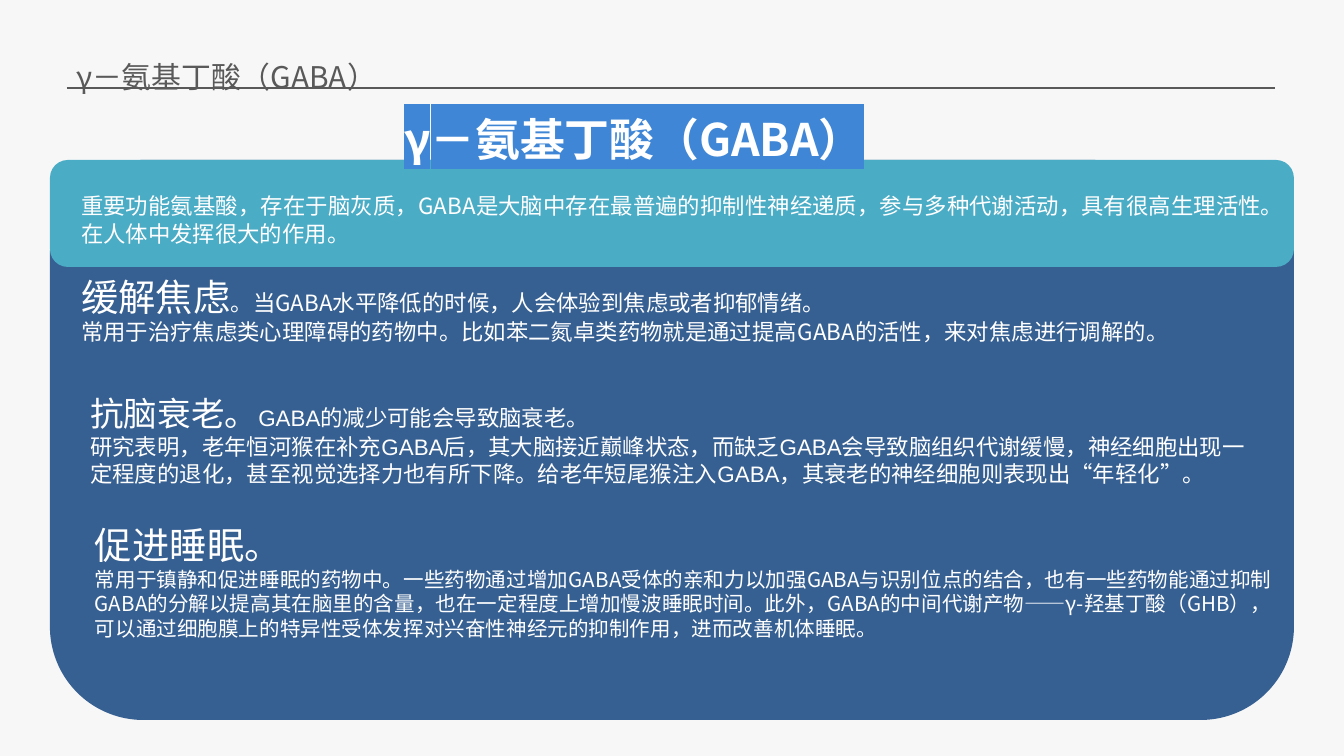
from lxml.etree import SubElement
from pptx import Presentation
from pptx.dml.color import RGBColor
from pptx.enum.shapes import MSO_CONNECTOR as Connector, MSO_SHAPE as Shape
from pptx.enum.text import MSO_ANCHOR as Anchor, MSO_AUTO_SIZE as AutoSize, PP_ALIGN as Align
from pptx.oxml.ns import qn
from pptx.util import Emu, Pt

SCALE = 914400 / 134.4
PAGE = RGBColor(0xF7, 0xF7, 0xF7)
GREY = RGBColor(0x59, 0x59, 0x59)
WHITE = RGBColor(0xFF, 0xFF, 0xFF)
NAVY = RGBColor(0x37, 0x60, 0x92)
TEAL = RGBColor(0x4B, 0xAC, 0xC6)
MARKER = RGBColor(0x3F, 0x87, 0xD6)
NOTO = "Noto Sans CJK SC"
HEADING = "γ－氨基丁酸（GABA）"


def px(length):
    return Emu(round(length * SCALE))


def apply(target, values):
    for name, value in values.items():
        setattr(target, name, value)


def place(item, box):
    apply(item, dict(zip(("left", "top", "width", "height"), map(px, box))))


def highlight(span, color):
    fill = span.font._element.find(qn("a:solidFill"))
    mark = SubElement(span.font._element, qn("a:highlight"))
    SubElement(mark, qn("a:srgbClr"), val=str(color))
    fill.addnext(mark)


def add_span(para, text, size, font=NOTO, color=WHITE, bold=False, marker=None):
    span = para.add_run()
    span.text = text
    apply(span.font, {"size": Pt(size), "name": font, "bold": bold})
    span.font.color.rgb = color
    latin = span.font._element.find(qn("a:latin"))
    east_asian = SubElement(span.font._element, qn("a:ea"), typeface=NOTO)
    latin.addnext(east_asian)
    if marker is not None:
        highlight(span, marker)


def write(frame, paras, inset=0, anchor=Anchor.TOP, **span_format):
    apply(frame, {"word_wrap": True, "auto_size": AutoSize.NONE, "vertical_anchor": anchor})
    sides = ("left", "top", "right", "bottom")
    apply(frame, {f"margin_{side}": px(inset) for side in sides})
    for index, (para_format, spans) in enumerate(paras):
        para = frame.add_paragraph() if index else frame.paragraphs[0]
        apply(para, {"space_before": Pt(0), **para_format})
        for text, size in spans:
            add_span(para, text, size, **span_format)


def lines(height, align=Align.LEFT, before=0):
    return {"line_spacing": px(height), "alignment": align, "space_before": px(before)}


def add_panel(page, box, color):
    left, top, width, height = map(px, box)
    panel = page.shapes.add_shape(Shape.ROUNDED_RECTANGLE, left, top, width, height)
    panel.shadow.inherit = False
    panel.fill.solid()
    panel.fill.fore_color.rgb = color
    panel.line.fill.background()
    return panel


def add_text(page, box, paras, **text_format):
    text_box = page.shapes.add_textbox(*map(px, box))
    write(text_box.text_frame, paras, **text_format)


def add_header(page, box):
    left, top, width, height = box
    title = page.shapes.title
    place(title, (left - 4, top, 505, height))
    write(title.text_frame, [(lines(38), [(HEADING, 16)])], inset=13, color=GREY)
    bottom = top + height - 5
    rule = page.shapes.add_connector(
        Connector.STRAIGHT, px(left), px(bottom), px(left + width), px(bottom))
    rule.line.color.rgb = GREY
    rule.line.width = Pt(0.75)
    SubElement(rule._element.spPr, qn("a:effectLst"))


def add_content(page, box):
    left, top, width, height = box
    aging = [
        (lines(40), [("抗脑衰老。", 18), ("GABA的减少可能会导致脑衰老。", 12)]),
        (lines(27), [("研究表明，老年恒河猴在补充GABA后，其大脑接近巅峰状态，而缺乏GABA会导致脑组织代谢缓慢，神经细胞出现一定程度的退化，甚至视觉选择力也有所下降。给老年短尾猴注入GABA，其衰老的神经细胞则表现出“年轻化”。", 12)]),
    ]
    anxiety = [
        (lines(28, Align.JUSTIFY), [("重要功能氨基酸，存在于脑灰质，GABA是大脑中存在最普遍的抑制性神经递质，参与多种代谢活动，具有很高生理活性。在人体中发挥很大的作用。", 12)]),
        (lines(42, Align.JUSTIFY, before=30), [("缓解焦虑", 20), ("。当GABA水平降低的时候，人会体验到焦虑或者抑郁情绪。", 12)]),
        (lines(26, Align.JUSTIFY), [("常用于治疗焦虑类心理障碍的药物中。比如苯二氮卓类药物就是通过提高GABA的活性，来对焦虑进行调解的。", 12)]),
    ]
    sleep = [
        (lines(47, Align.JUSTIFY), [("促进睡眠。", 20)]),
        (lines(24.5), [("常用于镇静和促进睡眠的药物中。一些药物通过增加GABA受体的亲和力以加强GABA与识别位点的结合，也有一些药物能通过抑制GABA的分解以提高其在脑里的含量，也在一定程度上增加慢波睡眠时间。此外，GABA的中间代谢产物——γ-羟基丁酸（GHB），可以通过细胞膜上的特异性受体发挥对兴奋性神经元的抑制作用，进而改善机体睡眠。", 11)]),
    ]
    panel = add_panel(page, box, NAVY)
    write(panel.text_frame, aging, inset=13, anchor=Anchor.MIDDLE, font="Arial")
    add_panel(page, (left, top, width, 107), TEAL)
    add_text(page, (left + 31, top + 31, 1181, 153), anxiety)
    add_text(page, (left + 219, top - 53, 730, 54),
             [(lines(58, Align.CENTER), [(HEADING, 24)])], bold=True, marker=MARKER)
    add_text(page, (left + 45, top + 360, 1188, 211), sleep)


def main():
    deck = Presentation()
    apply(deck, {"slide_width": px(1344), "slide_height": px(756)})
    page = deck.slides.add_slide(deck.slide_layouts[5])
    page.background.fill.solid()
    page.background.fill.fore_color.rgb = PAGE
    add_header(page, (67, 43, 1208, 50))
    add_content(page, (50, 160, 1244, 560))
    deck.save("out.pptx")


if __name__ == "__main__":
    main()
